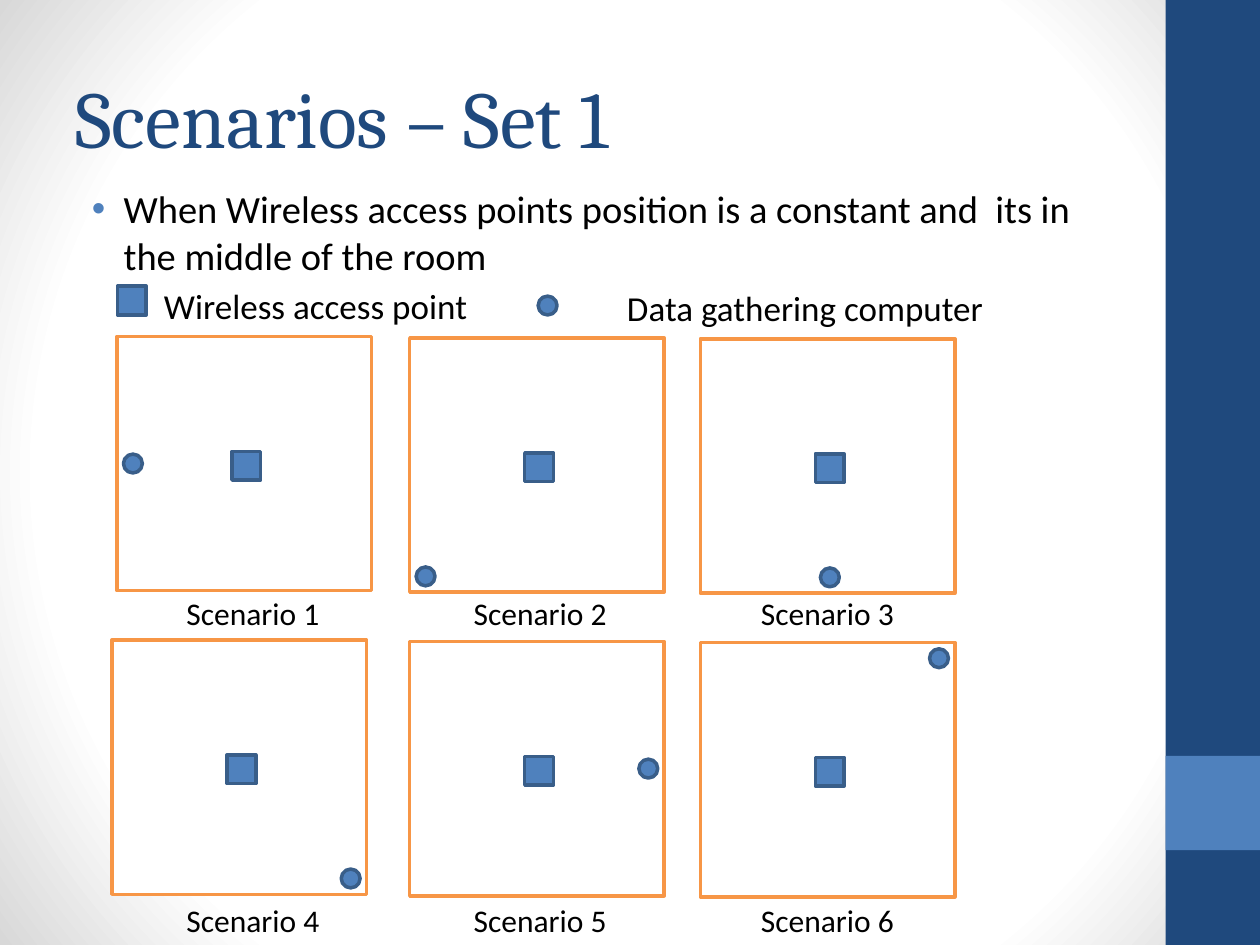
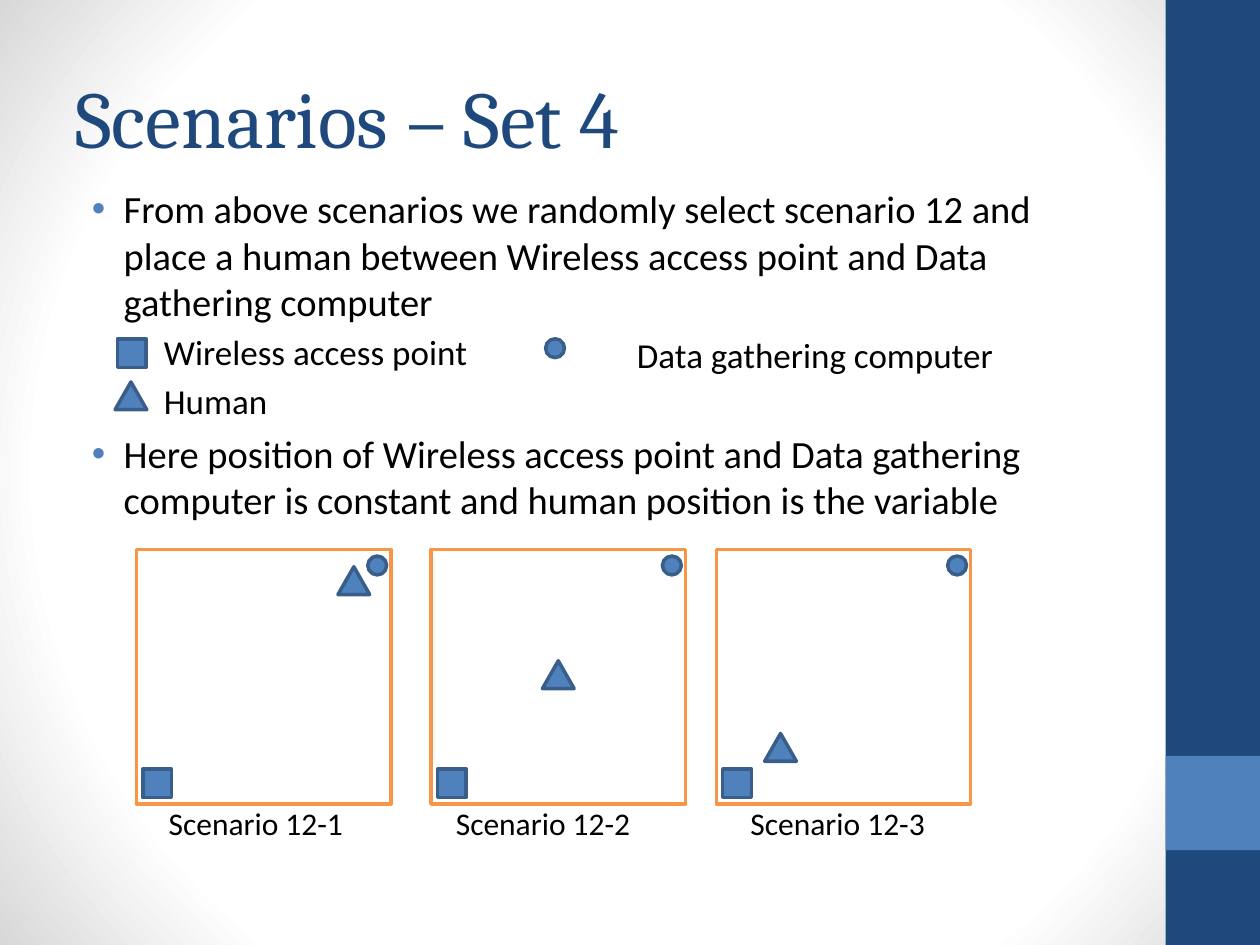
from dataclasses import dataclass

from lxml.etree import SubElement
from pptx import Presentation
from pptx.dml.color import RGBColor
from pptx.enum.shapes import MSO_SHAPE
from pptx.enum.text import MSO_ANCHOR, MSO_AUTO_SIZE, PP_ALIGN
from pptx.oxml import parse_xml
from pptx.oxml.ns import nsdecls, qn
from pptx.util import Cm, Pt


@dataclass(frozen=True)
class Theme:
    navy: str = "1F497D"
    blue: str = "4F81BD"
    outline: str = "395E89"
    orange: str = "F79646"
    white: str = "FFFFFF"
    grey: str = "D8D8D8"
    black: str = "000000"
    heading_font: str = "Cambria"
    text_font: str = "Calibri"
    title_size: int = 46
    bullet_size: int = 22
    legend_size: int = 20
    caption_size: int = 18
    line_width: int = 2


theme = Theme()

# Text styles: font values, colour, space before, indents (cm) and bullet
STYLES = {
    "title": dict(font=dict(name=theme.heading_font, size=Pt(theme.title_size)),
                  color=theme.navy, before=0, indents=(0, 0), bullet=False),
    "bullet": dict(font=dict(name=theme.text_font, size=Pt(theme.bullet_size)),
                   color=theme.black, before=4.4, indents=(0.97, -0.64), bullet=True),
    "legend": dict(font=dict(name=theme.text_font, size=Pt(theme.legend_size)),
                   color=theme.black, before=4, indents=(1.78, 0), bullet=False),
    "label": dict(font=dict(name=theme.text_font, size=Pt(theme.legend_size)),
                  color=theme.black, before=0, indents=(0, 0), bullet=False),
    "caption": dict(font=dict(name=theme.text_font, size=Pt(theme.caption_size)),
                    color=theme.black, before=0, indents=(0, 0), bullet=False),
}

# Markers: preset shape, width and height in cm
MARKERS = {
    "access point": (MSO_SHAPE.RECTANGLE, 0.58, 0.58),
    "computer": (MSO_SHAPE.OVAL, 0.38, 0.38),
    "human": (MSO_SHAPE.ISOSCELES_TRIANGLE, 0.64, 0.56),
}
ROOM_SIZE = 5.13
ROOM_MARGIN = 0.13

# Rooms: left and top in cm, then each marker's place as a share of the free room
# Labels: style, left, top and width in cm, text
SLIDES = [
    dict(
        title="Scenarios – Set 1",
        body=[
            ("bullet", "When Wireless access points position is a constant and  its in "
                       "the middle of the room"),
            ("legend", "Wireless access point"),
        ],
        legend=[("access point", 2.37, 5.77), ("computer", 10.85, 5.97)],
        rooms=[
            (2.36, 6.78, {"computer": (0, 0.5), "access point": (0.51, 0.51)}),
            (8.26, 6.81, {"computer": (0, 1), "access point": (0.51, 0.51)}),
            (14.12, 6.83, {"computer": (0.51, 1), "access point": (0.51, 0.51)}),
            (2.26, 12.9, {"computer": (1, 1), "access point": (0.51, 0.51)}),
            (8.26, 12.93, {"computer": (1, 0.5), "access point": (0.51, 0.51)}),
            (14.12, 12.95, {"computer": (1, 0), "access point": (0.51, 0.51)}),
        ],
        labels=[("label", 12.39, 5.65, 8.5, "Data gathering computer")] + [
            ("caption", 3.51 + 5.79 * column, top, 4.5, f"Scenario {3 * row + column + 1}")
            for row, top in enumerate((11.86, 18.03)) for column in range(3)
        ],
    ),
    dict(
        title="Scenarios – Set 4",
        body=[
            ("bullet", "From above scenarios we randomly select scenario 12 and place a "
                       "human between Wireless access point and Data gathering computer"),
            ("legend", "Wireless access point"),
            ("legend", "Human"),
            ("bullet", "Here position of Wireless access point and Data gathering "
                       "computer is constant and human position is the variable"),
        ],
        legend=[("access point", 2.37, 6.83), ("computer", 11, 6.83), ("human", 2.32, 7.7)],
        rooms=[
            (left, 11.08, {"computer": (1.01, 0), "access point": (0, 1), "human": human})
            for left, human in [(2.75, (0.93, 0.05)), (8.69, (0.5, 0.49)), (14.44, (0.2, 0.83))]
        ],
        labels=[("label", 12.59, 6.59, 8.5, "Data gathering computer")] + [
            ("caption", left, 16.08, 4.5, f"Scenario 12-{number}")
            for number, left in enumerate((3.15, 8.94, 14.88), start=1)
        ],
    ),
]


def draw(shapes, kind, left, top, width, height, fill, line=None):
    """Add a flat preset shape, measured in cm."""
    shape = shapes.add_shape(kind, Cm(left), Cm(top), Cm(width), Cm(height))
    shape.shadow.inherit = False
    shape.fill.solid()
    shape.fill.fore_color.rgb = RGBColor.from_string(fill)
    if line:
        shape.line.color.rgb = RGBColor.from_string(line)
        shape.line.width = Pt(theme.line_width)
    else:
        shape.line.fill.background()
    return shape


def write(paragraph, text, style_name, first=True):
    """Fill a paragraph in one of the text styles."""
    style = STYLES[style_name]
    run = paragraph.add_run()
    run.text = text
    for name, value in style["font"].items():
        setattr(run.font, name, value)
    run.font.color.rgb = RGBColor.from_string(style["color"])
    paragraph.alignment = PP_ALIGN.LEFT
    paragraph.space_before = Pt(0 if first else style["before"])
    properties = paragraph._p.get_or_add_pPr()
    for name, value in zip(("marL", "indent"), style["indents"]):
        properties.set(name, str(Cm(value)))
    if style["bullet"]:
        color = SubElement(properties, qn("a:buClr"))
        SubElement(color, qn("a:srgbClr"), val=theme.blue)
        SubElement(properties, qn("a:buFont"), typeface="Arial")
        SubElement(properties, qn("a:buChar"), char="•")
    else:
        SubElement(properties, qn("a:buNone"))


presentation = Presentation()
presentation.slide_width, presentation.slide_height = Cm(25.4), Cm(19.05)
master = presentation.slide_master
layout = presentation.slide_layouts[1]
slides = [presentation.slides.add_slide(layout) for _ in SLIDES]

# Master background: white with grey corners
background = master._element.cSld.find(qn("p:bg"))
if background is not None:
    master._element.cSld.remove(background)
stops = "".join(
    f'<a:gs pos="{position}"><a:srgbClr val="{color}"/></a:gs>'
    for position, color in [(0, theme.white), (75000, theme.white), (100000, theme.grey)]
)
master._element.cSld.insert(0, parse_xml(
    f'<p:bg {nsdecls("p", "a")}><p:bgPr><a:gradFill rotWithShape="1"><a:gsLst>{stops}</a:gsLst>'
    '<a:path path="circle"><a:fillToRect l="50000" t="50000" r="50000" b="50000"/></a:path>'
    '</a:gradFill><a:effectLst/></p:bgPr></p:bg>'
))

# Master side bands, moved behind the placeholders
bands = [(0, 19.05, theme.navy), (15.24, 1.9, theme.blue)]
for number, (top, height, color) in enumerate(bands):
    band = draw(slides[0].shapes, MSO_SHAPE.RECTANGLE, 23.5, top, 1.9, height, color)
    band._element.nvSpPr.cNvPr.set("id", str(100 + number))
    master.shapes._spTree.insert(2 + number, band._element)

for slide, content in zip(slides, SLIDES):
    # Title and body placeholders
    title, body = slide.shapes.title, slide.placeholders[1]
    frames = [
        (title, (1.27, 0.76, 21.16, 3.18), MSO_ANCHOR.MIDDLE),
        (body, (1.27, 3.61, 21.16, 14.17), MSO_ANCHOR.TOP),
    ]
    for placeholder, box, anchor in frames:
        for name, value in zip(("left", "top", "width", "height"), box):
            setattr(placeholder, name, Cm(value))
        placeholder.text_frame.auto_size = MSO_AUTO_SIZE.NONE
        placeholder.text_frame.vertical_anchor = anchor
    write(title.text_frame.paragraphs[0], content["title"], "title")
    for number, (style_name, text) in enumerate(content["body"]):
        frame = body.text_frame
        paragraph = frame.add_paragraph() if number else frame.paragraphs[0]
        write(paragraph, text, style_name, first=number == 0)

    # Legend markers
    for marker, left, top in content["legend"]:
        kind, width, height = MARKERS[marker]
        draw(slide.shapes, kind, left, top, width, height, theme.blue, theme.outline)

    # Rooms with their markers
    for left, top, markers in content["rooms"]:
        group = slide.shapes.add_group_shape()
        draw(group.shapes, MSO_SHAPE.RECTANGLE, left, top, ROOM_SIZE, ROOM_SIZE,
             theme.white, theme.orange)
        for marker, (across, down) in markers.items():
            kind, width, height = MARKERS[marker]
            free = ROOM_SIZE - 2 * ROOM_MARGIN
            draw(group.shapes, kind,
                 left + ROOM_MARGIN + across * (free - width),
                 top + ROOM_MARGIN + down * (free - height),
                 width, height, theme.blue, theme.outline)

    # Second legend label and the captions under the rooms
    for style_name, left, top, width, text in content["labels"]:
        label = slide.shapes.add_textbox(Cm(left), Cm(top), Cm(width), Cm(1.02))
        label.text_frame.word_wrap = True
        write(label.text_frame.paragraphs[0], text, style_name)

presentation.save("out.pptx")
